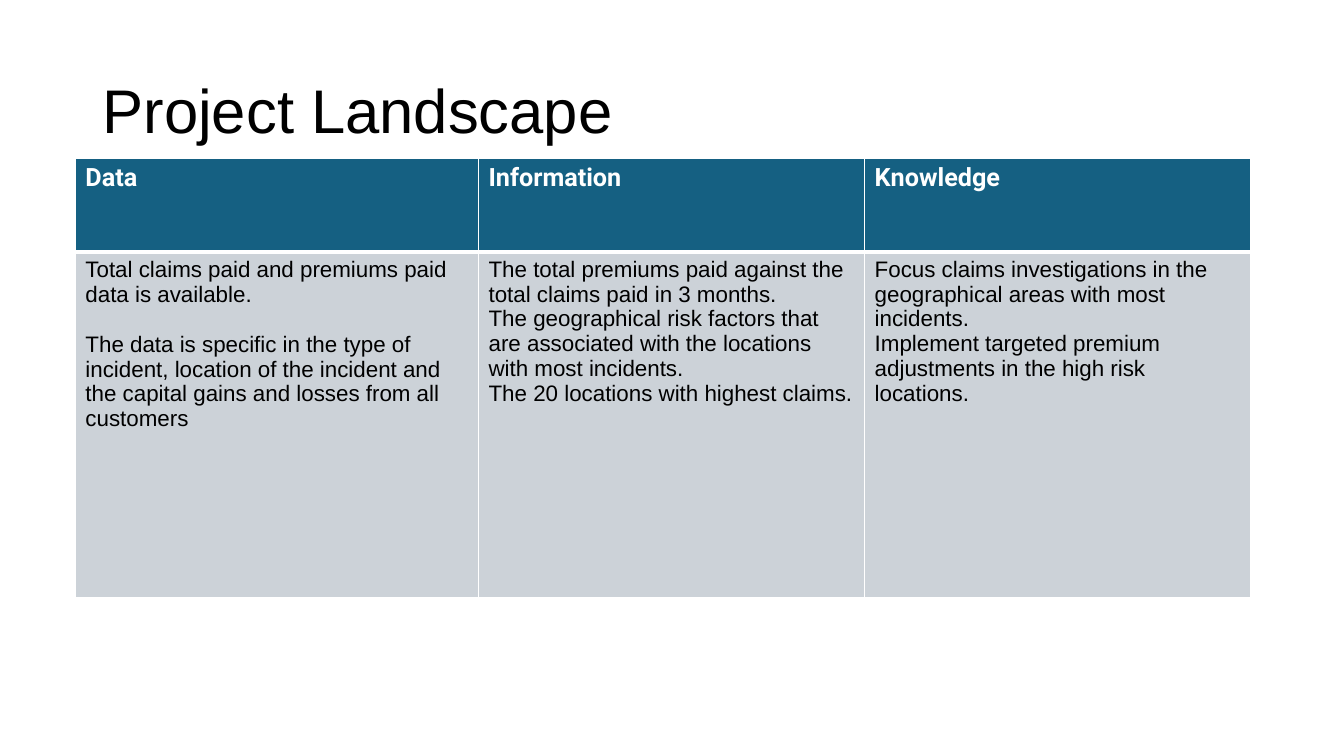
from dataclasses import dataclass

import pptx
import pptx.dml.color
import pptx.enum.text
import pptx.oxml
import pptx.oxml.ns
import pptx.util
from pptx.util import Cm


@dataclass(frozen=True)
class Theme:
    heading_fill: str = "156082"
    body_fill: str = "CCD2D8"
    light: str = "FFFFFF"
    dark: str = "000000"
    font: str = "Arial"
    heading_font: str = "Roboto"
    title_size: int = 44
    heading_size: int = 18
    body_size: int = 16
    paragraph_gap: int = 18
    thin_line: int = 1
    thick_line: int = 3


@dataclass(frozen=True)
class Column:
    heading: str
    width: float
    paragraphs: tuple[str, ...]
    spaced: bool = False


THEME = Theme()
ROW_HEIGHTS = (2.36, 8.71)
COLUMNS = (
    Column("Data", 10.16, (
        "Total claims paid and premiums paid data is available.",
        "The data is specific in the type of incident, location of the incident "
        "and the capital gains and losses from all customers",
    ), spaced=True),
    Column("Information", 9.73, (
        "The total premiums paid against the total claims paid in 3 months.",
        "The geographical risk factors that are associated with the locations "
        "with most incidents.",
        "The 20 locations with highest claims.",
    )),
    Column("Knowledge", 9.73, (
        "Focus claims investigations in the geographical areas with most incidents.",
        "Implement targeted premium adjustments in the high risk locations.",
    )),
)


def add_run(p, text: str, font: str, size: int, color: str, bold: bool = False) -> None:
    r = p.add_run()
    r.text = text
    r.font.name = font
    r.font.size = pptx.util.Pt(size)
    r.font.bold = bold
    r.font.color.rgb = pptx.dml.color.RGBColor.from_string(color)


def add_borders(cell, top: int, bottom: int) -> None:
    """Draw the four cell edges, with widths in points."""
    tc_pr = cell._tc.get_or_add_tcPr()
    widths = {"L": THEME.thin_line, "R": THEME.thin_line, "T": top, "B": bottom}
    for side, width in widths.items():
        tc_pr.append(pptx.oxml.parse_xml(
            f'<a:ln{side} {pptx.oxml.ns.nsdecls("a")} w="{pptx.util.Pt(width)}">'
            f'<a:solidFill><a:srgbClr val="{THEME.light}"/></a:solidFill></a:ln{side}>'
        ))


def fill_cell(cell, color: str) -> None:
    cell.fill.solid()
    cell.fill.fore_color.rgb = pptx.dml.color.RGBColor.from_string(color)


def add_title(s, text: str) -> None:
    sp = s.shapes.title
    sp.left, sp.top, sp.width, sp.height = Cm(2.33), Cm(1.02), Cm(29.21), Cm(3.68)
    tf = sp.text_frame
    tf.word_wrap = True
    tf.auto_size = pptx.enum.text.MSO_AUTO_SIZE.NONE
    tf.vertical_anchor = pptx.enum.text.MSO_ANCHOR.MIDDLE
    p = tf.paragraphs[0]
    p.alignment = pptx.enum.text.PP_ALIGN.LEFT
    p.line_spacing = 0.9
    add_run(p, text, THEME.font, THEME.title_size, THEME.dark)


def add_heading(cell, column: Column) -> None:
    add_borders(cell, THEME.thin_line, THEME.thick_line)
    fill_cell(cell, THEME.heading_fill)
    add_run(cell.text_frame.paragraphs[0], column.heading, THEME.heading_font,
            THEME.heading_size, THEME.light, bold=True)


def add_body(cell, column: Column) -> None:
    add_borders(cell, THEME.thick_line, THEME.thin_line)
    fill_cell(cell, THEME.body_fill)
    tf = cell.text_frame
    for i, text in enumerate(column.paragraphs):
        p = tf.add_paragraph() if i else tf.paragraphs[0]
        if i and column.spaced:
            p.space_before = pptx.util.Pt(THEME.paragraph_gap)
        add_run(p, text, THEME.font, THEME.body_size, THEME.dark)


def add_landscape_table(s) -> None:
    width = sum(column.width for column in COLUMNS)
    table = s.shapes.add_table(len(ROW_HEIGHTS), len(COLUMNS), Cm(1.9), Cm(3.99),
                               Cm(width), Cm(sum(ROW_HEIGHTS))).table
    table.horz_banding = False
    for row, height in zip(table.rows, ROW_HEIGHTS):
        row.height = Cm(height)
    for i, column in enumerate(COLUMNS):
        table.columns[i].width = Cm(column.width)
        add_heading(table.cell(0, i), column)
        add_body(table.cell(1, i), column)


def main() -> None:
    prs = pptx.Presentation()
    prs.slide_width, prs.slide_height = Cm(33.87), Cm(19.05)

    # Title-only slide
    s = prs.slides.add_slide(prs.slide_layouts[5])
    add_title(s, "Project Landscape")

    # Data, information and knowledge
    add_landscape_table(s)

    prs.save("out.pptx")


if __name__ == "__main__":
    main()
